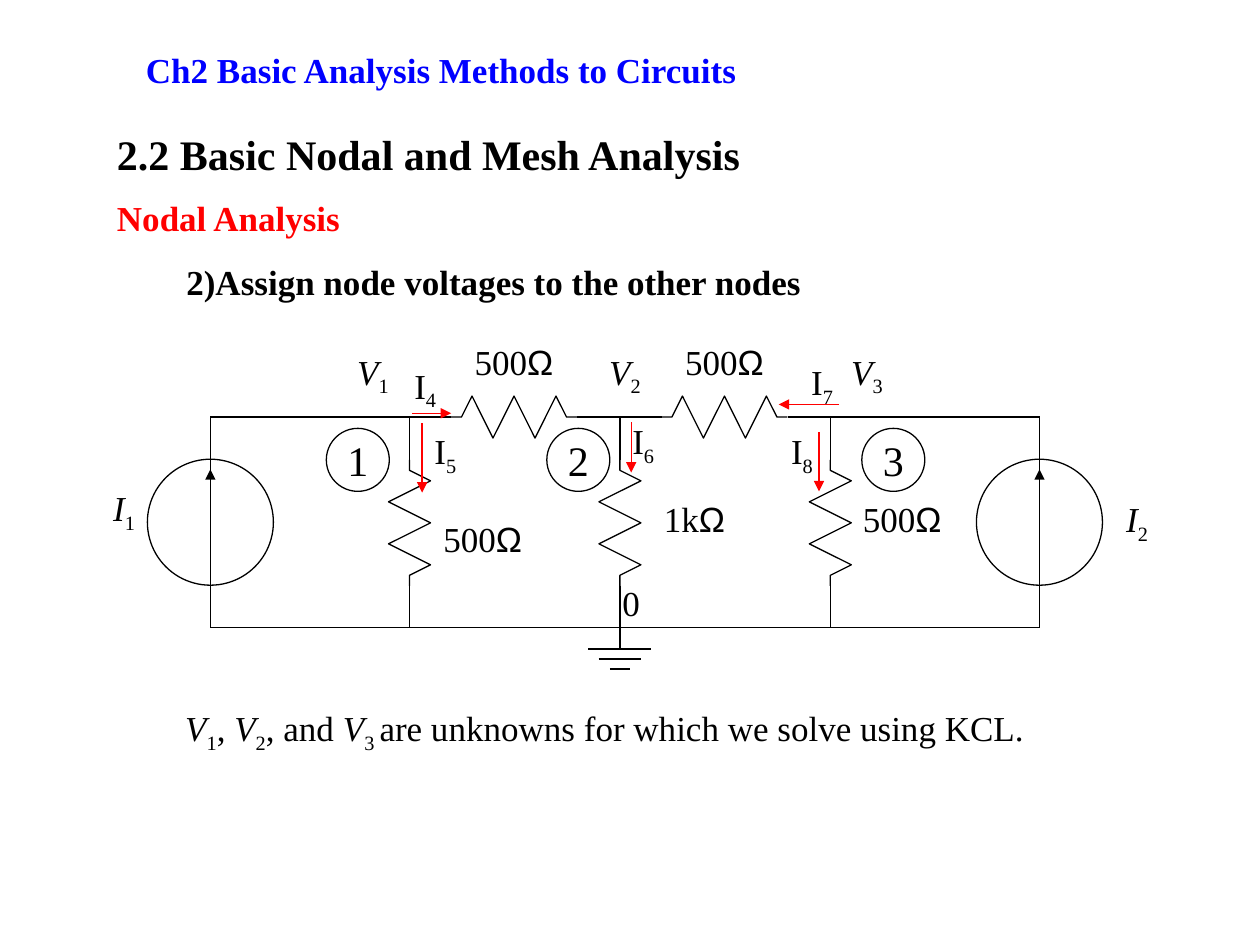
from dataclasses import dataclass

from lxml import etree
from pptx import Presentation
from pptx.dml.color import RGBColor
from pptx.enum.shapes import MSO_CONNECTOR, MSO_SHAPE
from pptx.enum.text import MSO_ANCHOR, PP_ALIGN
from pptx.oxml.ns import qn
from pptx.util import Inches, Pt

STRAIGHT = MSO_CONNECTOR.STRAIGHT
OVAL = MSO_SHAPE.OVAL
TOP, MIDDLE = MSO_ANCHOR.TOP, MSO_ANCHOR.MIDDLE
LEFT, CENTER, RIGHT = PP_ALIGN.LEFT, PP_ALIGN.CENTER, PP_ALIGN.RIGHT


@dataclass(frozen=True)
class Theme:
    ink: RGBColor = RGBColor(0, 0, 0)
    blue: RGBColor = RGBColor(0, 0, 255)
    red: RGBColor = RGBColor(255, 0, 0)
    body: Pt = Pt(20)
    large: Pt = Pt(24)
    line: Pt = Pt(0.75)
    serif: str = "Times New Roman"
    sans: str = "Arial"


THEME = Theme()


@dataclass(frozen=True)
class Piece:
    text: str
    bold: bool = False
    italic: bool = False
    subscript: bool = False
    font: str = THEME.serif


def symbol(letter, index, italic=True):
    return [Piece(letter, italic=italic), Piece(index, subscript=True)]


def ohms(value):
    return [Piece(value), Piece("Ω", font=THEME.sans)]


def write(frame, pieces, size=THEME.body, color=THEME.ink, align=LEFT, anchor=TOP):
    frame.vertical_anchor = anchor
    paragraph = frame.paragraphs[0]
    paragraph.alignment = align
    for piece in pieces:
        run = paragraph.add_run()
        run.text = piece.text
        run.font.name = piece.font
        run.font.size = size
        run.font.bold = piece.bold
        run.font.italic = piece.italic
        run.font.color.rgb = color
        if piece.subscript:
            run.font._element.set("baseline", "-25000")
    return paragraph


def add_label(shapes, box, pieces, **style):
    label = shapes.add_textbox(*map(Inches, box))
    label.text_frame.word_wrap = True
    return write(label.text_frame, pieces, **style)


def add_wire(shapes, start, end, color=THEME.ink, arrow=False):
    wire = shapes.add_connector(STRAIGHT, *map(Inches, (*start, *end)))
    wire.line.color.rgb = color
    wire.line.width = THEME.line
    if arrow:
        etree.SubElement(wire.line._get_or_add_ln(), qn("a:tailEnd"), type="triangle")
    etree.SubElement(wire._element.spPr, qn("a:effectLst"))


def outline(shape):
    shape.shadow.inherit = False
    shape.fill.background()
    shape.line.color.rgb = THEME.ink
    shape.line.width = THEME.line


def add_circle(shapes, x, y, size):
    circle = shapes.add_shape(OVAL, *map(Inches, (x, y, size, size)))
    outline(circle)
    return circle


def add_resistor(shapes, x, y, vertical=False):
    peak = 1 / 6
    zigzag = [(0, 0), (peak / 2, 0)]
    zigzag += [(peak * step, peak * (-1) ** step) for step in range(1, 6)]
    zigzag += [(1 - peak / 2, 0), (1, 0)]
    points = [(x - across, y + along) if vertical else (x + along, y + across)
              for along, across in zigzag]
    points = [(Inches(px), Inches(py)) for px, py in points]
    builder = shapes.build_freeform(*points[0], scale=1.0)
    builder.add_line_segments(points[1:], close=False)
    outline(builder.convert_to_shape())


def add_source(shapes, x, top, bottom):
    center = (top + bottom) / 2
    add_circle(shapes, x - 0.5, center - 0.5, 1)
    add_wire(shapes, (x, top), (x, bottom))
    add_wire(shapes, (x, center + 0.33), (x, center - 0.42), arrow=True)


def add_ground(shapes, x, y):
    add_wire(shapes, (x, y), (x, y + 0.17))
    for row, half_width in enumerate((0.25, 0.17, 0.08)):
        level = y + 0.17 + row * 0.08
        add_wire(shapes, (x - half_width, level), (x + half_width, level))


def add_headings(slide, left, top):
    headings = [
        (0.23, 0, 8.19, 0.55, "Ch2 Basic Analysis Methods to Circuits",
         THEME.body, THEME.blue, MIDDLE),
        (0, 0.69, 6.08, 0.5, "2.2 Basic Nodal and Mesh Analysis", THEME.large, THEME.ink, TOP),
        (0, 1.23, 4.73, 0.44, "Nodal Analysis", THEME.body, THEME.red, TOP),
        (0.55, 1.74, 7.25, 0.44, "2)Assign node voltages to the other nodes",
         THEME.body, THEME.ink, TOP),
    ]
    for x, y, width, height, text, size, color, anchor in headings:
        add_label(slide.shapes, (left + x, top + y, width, height), [Piece(text, bold=True)],
                  size=size, color=color, anchor=anchor)


def add_circuit(slide, left, top, width, height):
    shapes = slide.shapes.add_group_shape().shapes
    rail, base = top + 0.66, top + height
    start, end = left + 1, left + width - 1.09
    nodes = [left + 2.58 + 1.67 * column for column in range(3)]
    bridges = [node + 0.33 for node in nodes[:2]]

    for x in bridges:
        add_resistor(shapes, x, rail)
        add_label(shapes, (x, top, 1, 0.44), ohms("500"), align=CENTER)
    gaps = [start, *[x + 1 for x in bridges]]
    for gap_start, gap_end in zip(gaps, [*bridges, end]):
        add_wire(shapes, (gap_start, rail), (gap_end, rail))
    add_wire(shapes, (start, base), (end, base))

    branches = zip(nodes, ("500", "1k", "500"), (0.17, 0.25, 0.16), (1.41, 1.25, 1.25))
    for x, value, offset, level in branches:
        add_resistor(shapes, x, top + 1, vertical=True)
        add_wire(shapes, (x, rail), (x, top + 1))
        add_wire(shapes, (x, top + 2), (x, base))
        add_label(shapes, (x + offset, top + level, 1, 0.44), ohms(value))

    for x in (start, end):
        add_source(shapes, x, rail, base)
    add_label(shapes, (left, top + 1.16, 0.5, 0.48), symbol("I", "1"), align=RIGHT)
    add_label(shapes, (left + width - 0.5, top + 1.25, 0.5, 0.48), symbol("I", "2"))
    add_ground(shapes, nodes[1], base)

    for number, badge, voltage in (("1", 1.92, 2), ("2", 3.67, 4), ("3", 6.17, 5.92)):
        circle = add_circle(shapes, left + badge, top + 0.75, 0.5)
        circle.text_frame.word_wrap = False
        write(circle.text_frame, [Piece(number)], size=THEME.large, align=CENTER, anchor=MIDDLE)
        add_label(shapes, (left + voltage, top + 0.08, 0.58, 0.48), symbol("V", number),
                  align=CENTER)

    ground_label = add_label(slide.shapes, (nodes[1] - 0.08, base - 0.35, 0.32, 0.38),
                             [Piece("0")])
    ground_label.line_spacing = 0.8


def add_currents(slide, left, top):
    shapes = slide.shapes.add_group_shape().shapes
    currents = [
        ("4", (2.6, 0.63), (2.91, 0.63), (2.52, 0.19)),
        ("5", (2.68, 0.71), (2.68, 1.26), (2.68, 0.71)),
        ("6", (4.34, 0.7), (4.34, 1.1), (4.25, 0.63)),
        ("7", (5.99, 0.56), (5.51, 0.56), (5.67, 0.16)),
        ("8", (5.83, 0.78), (5.83, 1.25), (5.51, 0.71)),
    ]
    for index, tail, tip, label in currents:
        tail, tip, label = [(left + x, top + y) for x, y in (tail, tip, label)]
        add_wire(shapes, tail, tip, THEME.red, arrow=True)
        add_label(shapes, (*label, 0.63, 0.48), symbol("I", index, italic=False))


def add_conclusion(slide, left, top, width, height):
    pieces = [
        *symbol("V", "1"), Piece(", "),
        *symbol("V", "2"), Piece(", and "),
        *symbol("V", "3 "), Piece("are unknowns for which we solve using KCL."),
    ]
    add_label(slide.shapes, (left, top, width, height), pieces, align=CENTER)


def main():
    deck = Presentation()
    deck.slide_width, deck.slide_height = Inches(10), Inches(7.5)
    slide = deck.slides.add_slide(deck.slide_layouts[6])
    add_headings(slide, 0.83, 0.28)
    add_circuit(slide, 0.67, 2.65, 8.67, 2.33)
    add_currents(slide, 0.67, 2.65)
    add_conclusion(slide, 0.98, 5.56, 7.64, 0.55)
    deck.save("out.pptx")


if __name__ == "__main__":
    main()
